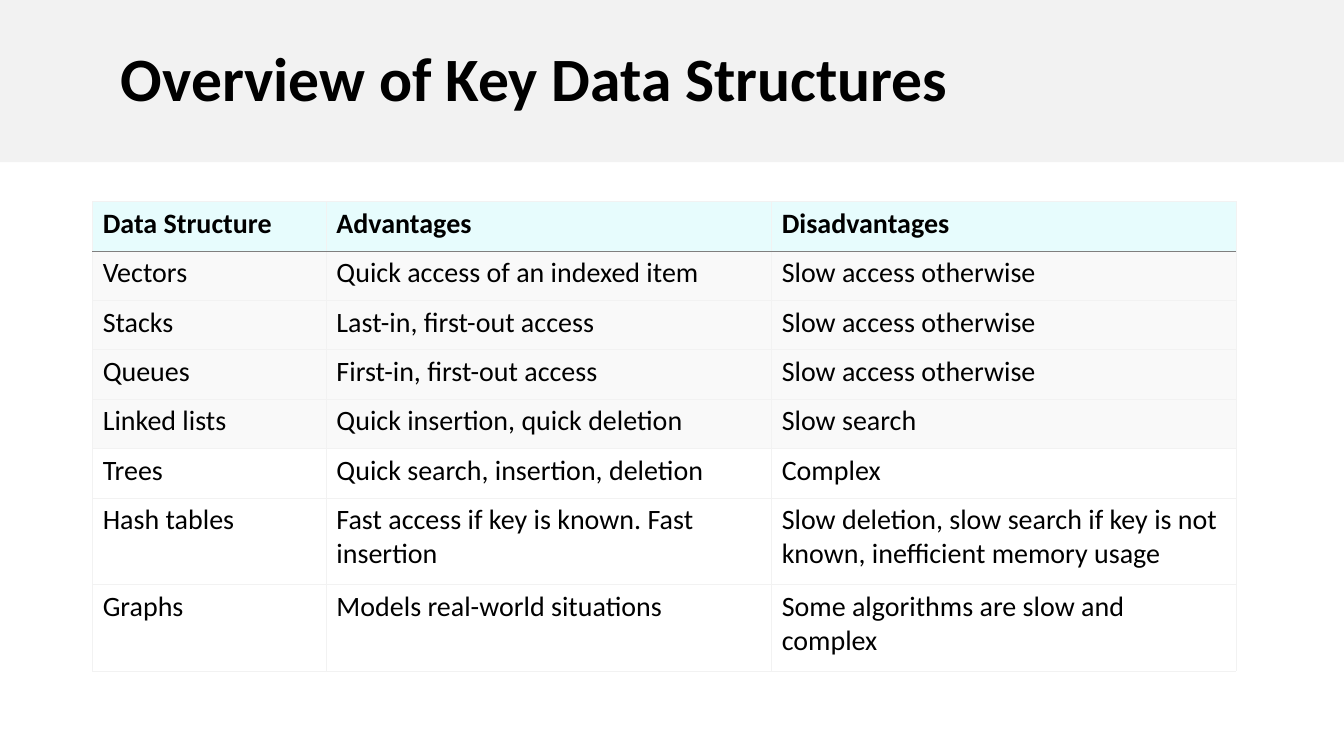
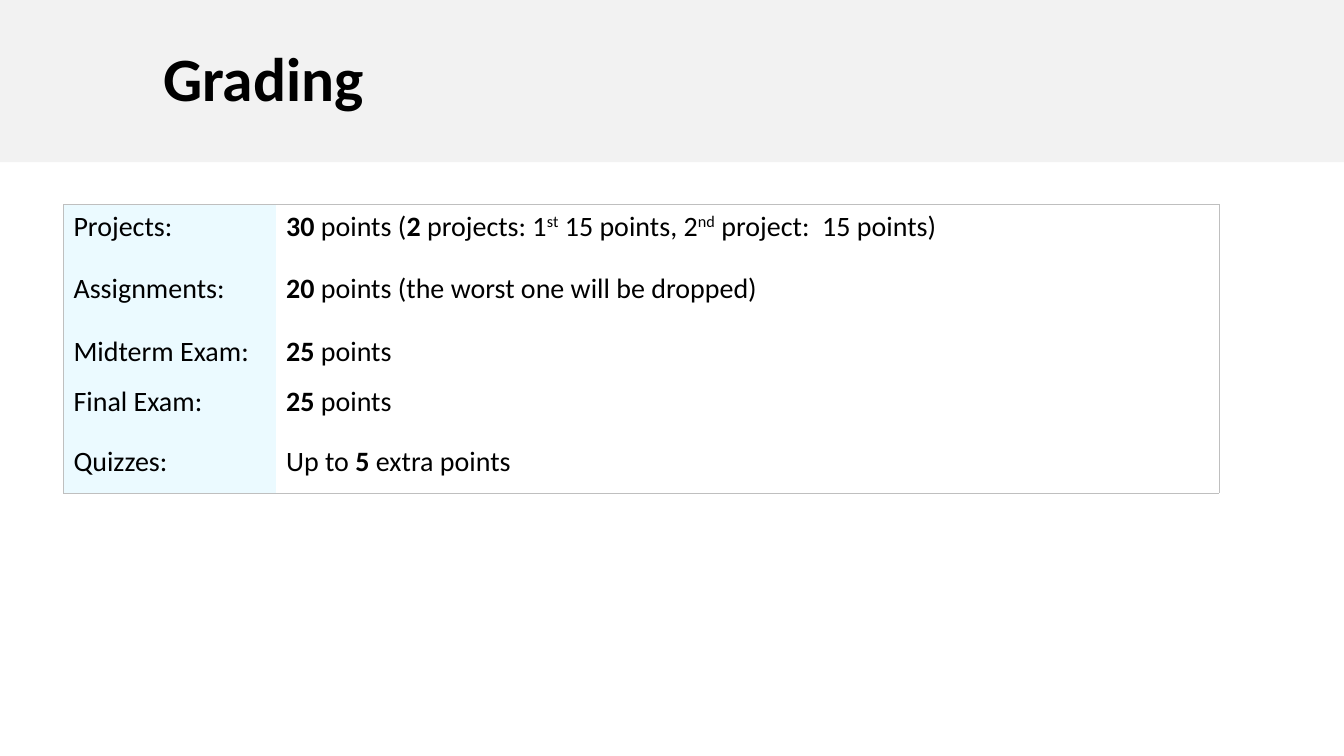
"""Build two slides with tables: key data structures and course grading."""
from dataclasses import dataclass

from lxml import etree
from pptx import Presentation
from pptx.dml.color import RGBColor
from pptx.enum.text import MSO_ANCHOR, MSO_AUTO_SIZE, PP_ALIGN
from pptx.oxml.ns import qn
from pptx.util import Inches, Pt

LEFT = PP_ALIGN.LEFT
MIDDLE = MSO_ANCHOR.MIDDLE
NO_AUTOFIT = MSO_AUTO_SIZE.NONE
TITLE_ONLY_LAYOUT = 5
PLAIN_TABLE_STYLE = "{2D5ABB26-0587-4C30-8999-92F81FD0307C}"
SIDES = ("L", "R", "T", "B")


@dataclass(frozen=True)
class Theme:
    font: str = "Calibri"
    title_size: float = 44
    table_size: float = 20
    border_width: float = 0.45
    text: str = "000000"
    band: str = "F2F2F2"
    header: str = "E7FCFD"
    header_rule: str = "7F7F7F"
    shaded_row: str = "F9F9F9"
    plain_row: str = "FFFFFF"
    label: str = "EBFAFF"
    frame: str = "BFBFBF"


THEME = Theme()


def write_text(text_frame, text, *, size, bold=False, line_spacing=None):
    para = text_frame.paragraphs[0]
    para.alignment = LEFT
    para.line_spacing = line_spacing
    spans = [(text, "")] if isinstance(text, str) else text
    for words, style in spans:
        span = para.add_run()
        span.text = words
        span.font.name = THEME.font
        span.font.size = Pt(size)
        span.font.bold = bold or style == "bold"
        span.font.color.rgb = RGBColor.from_string(THEME.text)
        if style == "superscript":
            span.font._element.set("baseline", "30000")


def format_cell(cell, text, *, borders, fill=None, bold=False):
    write_text(cell.text_frame, text, size=THEME.table_size, bold=bold)
    properties = cell._tc.get_or_add_tcPr()
    for side in SIDES:
        line = etree.SubElement(properties, qn(f"a:ln{side}"))
        if side in borders:
            line.set("w", str(Pt(THEME.border_width)))
            solid = etree.SubElement(line, qn("a:solidFill"))
            etree.SubElement(solid, qn("a:srgbClr"), val=borders[side])
        else:
            etree.SubElement(line, qn("a:noFill"))
    if fill:
        cell.fill.solid()
        cell.fill.fore_color.rgb = RGBColor.from_string(fill)
    else:
        cell.fill.background()


STRUCTURES = [
    ("Data Structure", "Advantages", "Disadvantages"),
    ("Vectors", "Quick access of an indexed item", "Slow access otherwise"),
    ("Stacks", "Last-in, first-out access", "Slow access otherwise"),
    ("Queues", "First-in, first-out access", "Slow access otherwise"),
    ("Linked lists", "Quick insertion, quick deletion", "Slow search"),
    ("Trees", "Quick search, insertion, deletion", "Complex"),
    ("Hash tables", "Fast access if key is known. Fast insertion",
     "Slow deletion, slow search if key is not known, inefficient memory usage"),
    ("Graphs", "Models real-world situations", "Some algorithms are slow and complex"),
]
LAST_SHADED_ROW = 4

GRADING = [
    ("Projects:", [("30", "bold"), (" points (", ""), ("2", "bold"),
                   (" projects: 1", ""), ("st", "superscript"),
                   (" 15 points, 2", ""), ("nd", "superscript"),
                   (" project:  15 points)", "")]),
    ("Assignments:", [("20", "bold"), (" points (the worst one will be dropped)", "")]),
    ("Midterm Exam:", [("25", "bold"), (" points", "")]),
    ("Final Exam:", [("25", "bold"), (" points", "")]),
    ("Quizzes:", [("Up to ", ""), ("5", "bold"), (" extra points", "")]),
]

SLIDES = [
    ("Overview of Key Data Structures", 1.2, 0.92, 2,
     [2.32, 4.42, 4.61], [0.49] * 6 + [0.86] * 2),
    ("Grading", 1.62, 0.63, 2.03,
     [2.11, 9.36], [0.62, 0.62, 0.5, 0.59, 0.53]),
]

deck = Presentation()
deck.slide_width = Inches(13.34)
deck.slide_height = Inches(7.5)

tables = []
for title, indent, left, top, widths, heights in SLIDES:
    page = deck.slides.add_slide(deck.slide_layouts[TITLE_ONLY_LAYOUT])
    band = page.shapes.title
    band.left, band.top = Inches(0), Inches(0)
    band.width, band.height = deck.slide_width, Inches(1.61)
    band.fill.solid()
    band.fill.fore_color.rgb = RGBColor.from_string(THEME.band)
    band.text_frame.auto_size = NO_AUTOFIT
    band.text_frame.vertical_anchor = MIDDLE
    band.text_frame.margin_left = Inches(indent)
    write_text(band.text_frame, title, size=THEME.title_size, bold=True, line_spacing=0.9)

    table = page.shapes.add_table(
        len(heights), len(widths), Inches(left), Inches(top),
        Inches(sum(widths)), Inches(sum(heights))).table
    table.first_row = table.horz_banding = False
    table._tbl.tblPr.find(qn("a:tableStyleId")).text = PLAIN_TABLE_STYLE
    for column, width in zip(table.columns, widths):
        column.width = Inches(width)
    for row, height in zip(table.rows, heights):
        row.height = Inches(height)
    tables.append(table)

structure_table, grading_table = tables

for row_index, row in enumerate(STRUCTURES):
    borders = dict.fromkeys(SIDES, THEME.band)
    fill = THEME.shaded_row if row_index <= LAST_SHADED_ROW else THEME.plain_row
    if row_index == 0:
        fill = THEME.header
        borders["B"] = THEME.header_rule
    elif row_index == 1:
        borders["T"] = THEME.header_rule
    for column_index, text in enumerate(row):
        format_cell(structure_table.cell(row_index, column_index), text,
                    borders=borders, fill=fill, bold=row_index == 0)

for row_index, (label, points) in enumerate(GRADING):
    edges = ""
    if row_index == 0:
        edges = "T"
    elif row_index == len(GRADING) - 1:
        edges = "B"
    format_cell(grading_table.cell(row_index, 0), label,
                borders=dict.fromkeys("L" + edges, THEME.frame), fill=THEME.label)
    format_cell(grading_table.cell(row_index, 1), points,
                borders=dict.fromkeys("R" + edges, THEME.frame))

deck.save("out.pptx")
